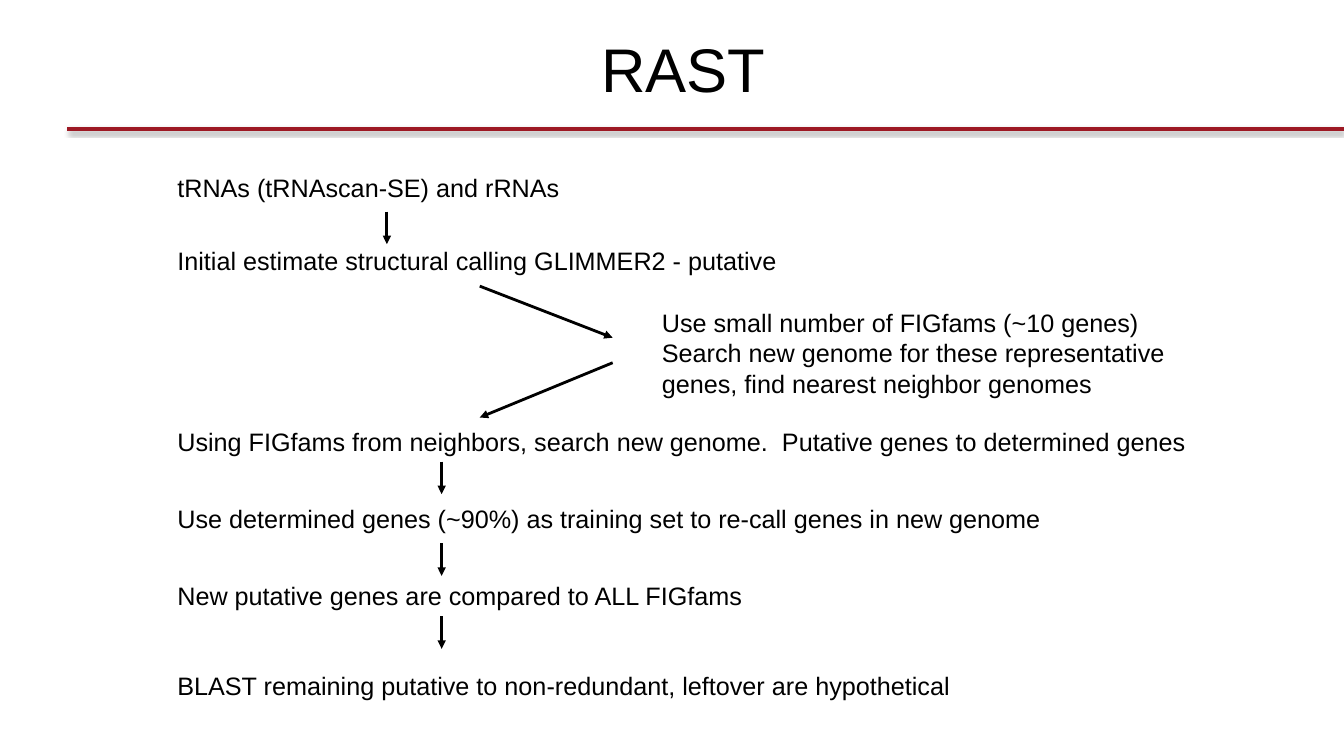
import pptx
import pptx.util
import pptx.dml.color
import pptx.enum.shapes
import pptx.enum.text
import pptx.oxml.ns
from lxml import etree

Cm = pptx.util.Cm
Pt = pptx.util.Pt
BLACK = pptx.dml.color.RGBColor(0x00, 0x00, 0x00)
CRIMSON = pptx.dml.color.RGBColor(0x9D, 0x19, 0x24)
qn = pptx.oxml.ns.qn

deck = pptx.Presentation()
deck.slide_width = Cm(33.87)
deck.slide_height = Cm(19.05)
page = deck.slides.add_slide(deck.slide_layouts[6])


def add_text(left, top, width, height, lines, size=18, wrap=False):
    box = page.shapes.add_textbox(Cm(left), Cm(top), Cm(width), Cm(height))
    frame = box.text_frame
    frame.word_wrap = wrap
    frame.text = "\n".join(lines)
    for para in frame.paragraphs:
        para.font.name = "Arial"
        para.font.size = Pt(size)
        para.font.color.rgb = BLACK
    return frame


def add_line(start_x, start_y, end_x, end_y, color, width):
    line = page.shapes.add_connector(
        pptx.enum.shapes.MSO_CONNECTOR.STRAIGHT,
        Cm(start_x), Cm(start_y), Cm(end_x), Cm(end_y))
    line.line.color.rgb = color
    line.line.width = Pt(width)
    effects = etree.SubElement(line._element.spPr, qn("a:effectLst"))
    return line, effects


rule, rule_effects = add_line(1.7, 3.25, 33.87, 3.25, CRIMSON, 3)
shadow = etree.SubElement(
    rule_effects, qn("a:outerShdw"), blurRad=str(Pt(3.1)), dist=str(Pt(1.6)),
    dir="5400000", algn="tl", rotWithShape="0")
shadow_color = etree.SubElement(shadow, qn("a:srgbClr"), val=str(BLACK))
etree.SubElement(shadow_color, qn("a:alpha"), val="38000")

title = add_text(2.29, 0.53, 29.87, 2.36, ["RAST"], size=44, wrap=True)
title.vertical_anchor = pptx.enum.text.MSO_ANCHOR.MIDDLE
title.paragraphs[0].alignment = pptx.enum.text.PP_ALIGN.CENTER

steps = [
    (4.22, 10.41, "tRNAs (tRNAscan-SE) and rRNAs"),
    (6.05, 15.75, "Initial estimate structural calling GLIMMER2 - putative"),
    (10.62, 26.34, "Using FIGfams from neighbors, search new genome.  Putative genes to determined genes"),
    (12.55, 22.48, "Use determined genes (~90%) as training set to re-call genes in new genome"),
    (14.5, 14.88, "New putative genes are compared to ALL FIGfams"),
    (16.76, 20.17, "BLAST remaining putative to non-redundant, leftover are hypothetical"),
]
for top, width, wording in steps:
    add_text(4.22, top, width, 1.02, [wording])

add_text(16.43, 7.62, 13.92, 2.57, [
    "Use small number of FIGfams (~10 genes)",
    "Search new genome for these representative genes, find nearest neighbor genomes",
], wrap=True)

down_arrows = [(9.75, 5.33), (11.13, 11.63), (11.13, 13.69), (11.13, 15.53)]
arrows = [(x, y, x, y + 0.82) for x, y in down_arrows]
arrows += [(12.09, 7.21, 15.44, 8.51), (15.44, 9.14, 12.09, 10.52)]
for ends in arrows:
    arrow, arrow_effects = add_line(*ends, BLACK, 2)
    etree.SubElement(arrow.line._get_or_add_ln(), qn("a:tailEnd"), type="triangle")

deck.save("out.pptx")
